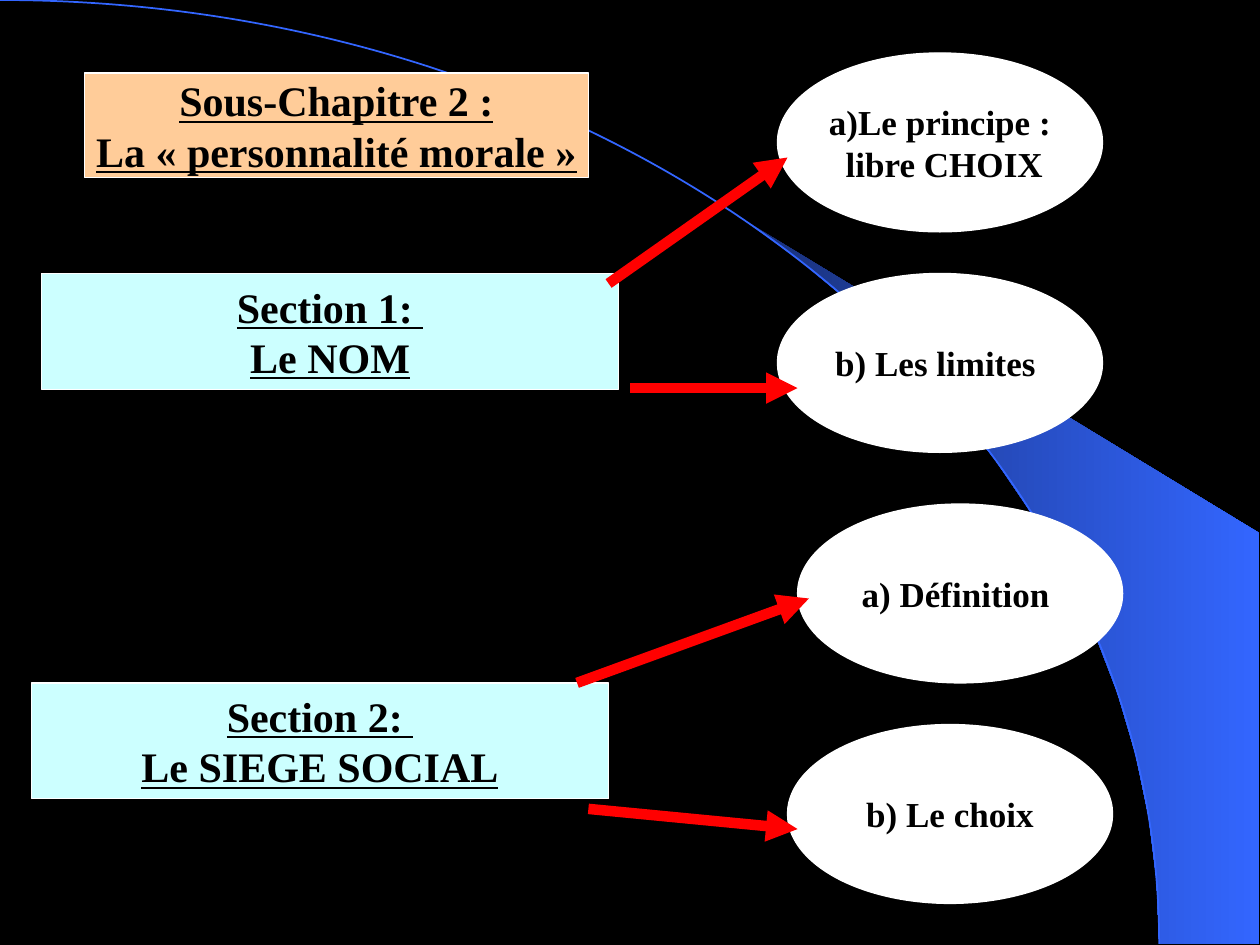
import math
from dataclasses import dataclass

import lxml.etree
import pptx
import pptx.dml.color
import pptx.enum.shapes
import pptx.enum.text
import pptx.oxml.ns
import pptx.util

Inches = pptx.util.Inches
Shape = pptx.enum.shapes.MSO_SHAPE
qn = pptx.oxml.ns.qn

COLORS = {
    "background": "000000",
    "text": "000000",
    "border": "FFFFFF",
    "chapter": "FFCC99",
    "section": "CCFFFF",
    "point": "FFFFFF",
    "arrow": "FF0000",
    "arc": "3366FF",
    "wing_dark": "182F76",
}
FONT = "Times New Roman"
ARC_WIDTH, ARC_HEIGHT = 9.2, 7.49
ARC_CURVE = [(5.08, 0), (ARC_WIDTH, 3.35), (ARC_WIDTH, ARC_HEIGHT)]
WING_START_ANGLE = 39.8
WING_STEPS = 13
SECTION_SIZE = (4.58, 0.92)
POINT_SIZE = (2.58, 1.42)


@dataclass
class Box:
    left: float
    top: float
    lines: tuple[str, ...]


@dataclass
class Arrow:
    start: tuple[float, float]
    end: tuple[float, float]


CHAPTER = Box(0.67, 0.58, ("Sous-Chapitre 2 :", "La « personnalité morale »"))
SECTIONS = [
    Box(0.33, 2.17, ("Section 1: ", "Le NOM")),
    Box(0.25, 5.42, ("Section 2: ", "Le SIEGE SOCIAL")),
]
POINTS = [
    Box(6.17, 2.17, ("b) Les limites ",)),
    Box(6.33, 4, ("a) Définition ",)),
    Box(6.17, 0.42, ("a)Le principe :", " libre CHOIX")),
    Box(6.25, 5.75, ("b) Le choix",)),
]
ARROWS = [
    Arrow((4.83, 2.25), (6.25, 1.25)),
    Arrow((5, 3.08), (6.33, 3.08)),
    Arrow((4.58, 5.42), (6.42, 4.75)),
    Arrow((4.67, 6.42), (6.33, 6.58)),
]


def rgb(name: str) -> pptx.dml.color.RGBColor:
    return pptx.dml.color.RGBColor.from_string(COLORS[name])


def wing_edge() -> list[tuple[float, float]]:
    angles = [
        math.radians(WING_START_ANGLE + (90 - WING_START_ANGLE) * step / WING_STEPS)
        for step in range(WING_STEPS + 1)
    ]
    return [
        (ARC_WIDTH * math.sin(angle), ARC_HEIGHT * (1 - math.cos(angle)))
        for angle in angles
    ]


def add_outline(slide, points: list[tuple[float, float]], closed: bool):
    lengths = [(Inches(x), Inches(y)) for x, y in points]
    builder = slide.shapes.build_freeform(*lengths[0])
    builder.add_line_segments(lengths[1:], close=closed)
    shape = builder.convert_to_shape()
    shape.shadow.inherit = False
    return shape


def add_background(slide) -> None:
    slide.background.fill.solid()
    slide.background.fill.fore_color.rgb = rgb("background")

    wing = add_outline(slide, wing_edge() + [(9.99, 7.49), (9.99, 4.23)], True)
    wing.line.fill.background()
    wing.fill.gradient()
    wing.fill.gradient_angle = 0
    for stop, color in zip(wing.fill.gradient_stops, ("wing_dark", "arc")):
        stop.color.rgb = rgb(color)

    arc = add_outline(slide, [(0, 0), (ARC_WIDTH, ARC_HEIGHT)], False)
    arc.fill.background()
    arc.line.color.rgb = rgb("arc")
    arc.line.width = pptx.util.Pt(1)
    segment = next(arc._element.iter(qn("a:lnTo")))
    curve = lxml.etree.Element(qn("a:cubicBezTo"))
    for x, y in ARC_CURVE:
        lxml.etree.SubElement(curve, qn("a:pt"), x=str(Inches(x)), y=str(Inches(y)))
    segment.getparent().replace(segment, curve)


def format_box(
    shape, box: Box, size: tuple[float, float], fill: str, points: int, underline: bool
) -> None:
    shape.left, shape.top = Inches(box.left), Inches(box.top)
    shape.width, shape.height = Inches(size[0]), Inches(size[1])
    shape.fill.solid()
    shape.fill.fore_color.rgb = rgb(fill)
    shape.line.color.rgb = rgb("border")
    shape.line.width = pptx.util.Pt(0.75)
    frame = shape.text_frame
    frame.auto_size = pptx.enum.text.MSO_AUTO_SIZE.NONE
    frame.word_wrap = False
    frame.margin_left = frame.margin_right = 0
    frame.vertical_anchor = pptx.enum.text.MSO_ANCHOR.MIDDLE
    for index, line in enumerate(box.lines):
        paragraph = frame.add_paragraph() if index else frame.paragraphs[0]
        paragraph.alignment = pptx.enum.text.PP_ALIGN.CENTER
        run = paragraph.add_run()
        run.text = line
        run.font.name = FONT
        run.font.size = pptx.util.Pt(points)
        run.font.bold = True
        run.font.underline = underline
        run.font.color.rgb = rgb("text")


def add_box(
    slide, preset: Shape, box: Box, size: tuple[float, float],
    fill: str, points: int, underline: bool,
) -> None:
    shape = slide.shapes.add_shape(preset, 0, 0, Inches(size[0]), Inches(size[1]))
    shape.shadow.inherit = False
    format_box(shape, box, size, fill, points, underline)


def add_arrow(slide, arrow: Arrow) -> None:
    ends = [Inches(value) for value in arrow.start + arrow.end]
    connector = slide.shapes.add_connector(
        pptx.enum.shapes.MSO_CONNECTOR.STRAIGHT, *ends
    )
    connector.line.color.rgb = rgb("arrow")
    connector.line.width = pptx.util.Pt(6)
    line = connector.line._get_or_add_ln()
    lxml.etree.SubElement(line, qn("a:tailEnd"), type="triangle")
    lxml.etree.SubElement(connector._element.spPr, qn("a:effectLst"))


def main() -> None:
    presentation = pptx.Presentation()
    presentation.slide_width = Inches(10)
    presentation.slide_height = Inches(7.5)
    slide = presentation.slides.add_slide(presentation.slide_layouts[5])

    add_background(slide)
    title = slide.shapes.title
    format_box(title, CHAPTER, (4, 0.83), "chapter", 24, True)
    slide.shapes._spTree.append(title._element)
    for section in SECTIONS:
        add_box(slide, Shape.RECTANGLE, section, SECTION_SIZE, "section", 24, True)
    for point in POINTS:
        add_box(slide, Shape.OVAL, point, POINT_SIZE, "point", 20, False)
    for arrow in ARROWS:
        add_arrow(slide, arrow)

    presentation.save("out.pptx")


if __name__ == "__main__":
    main()
